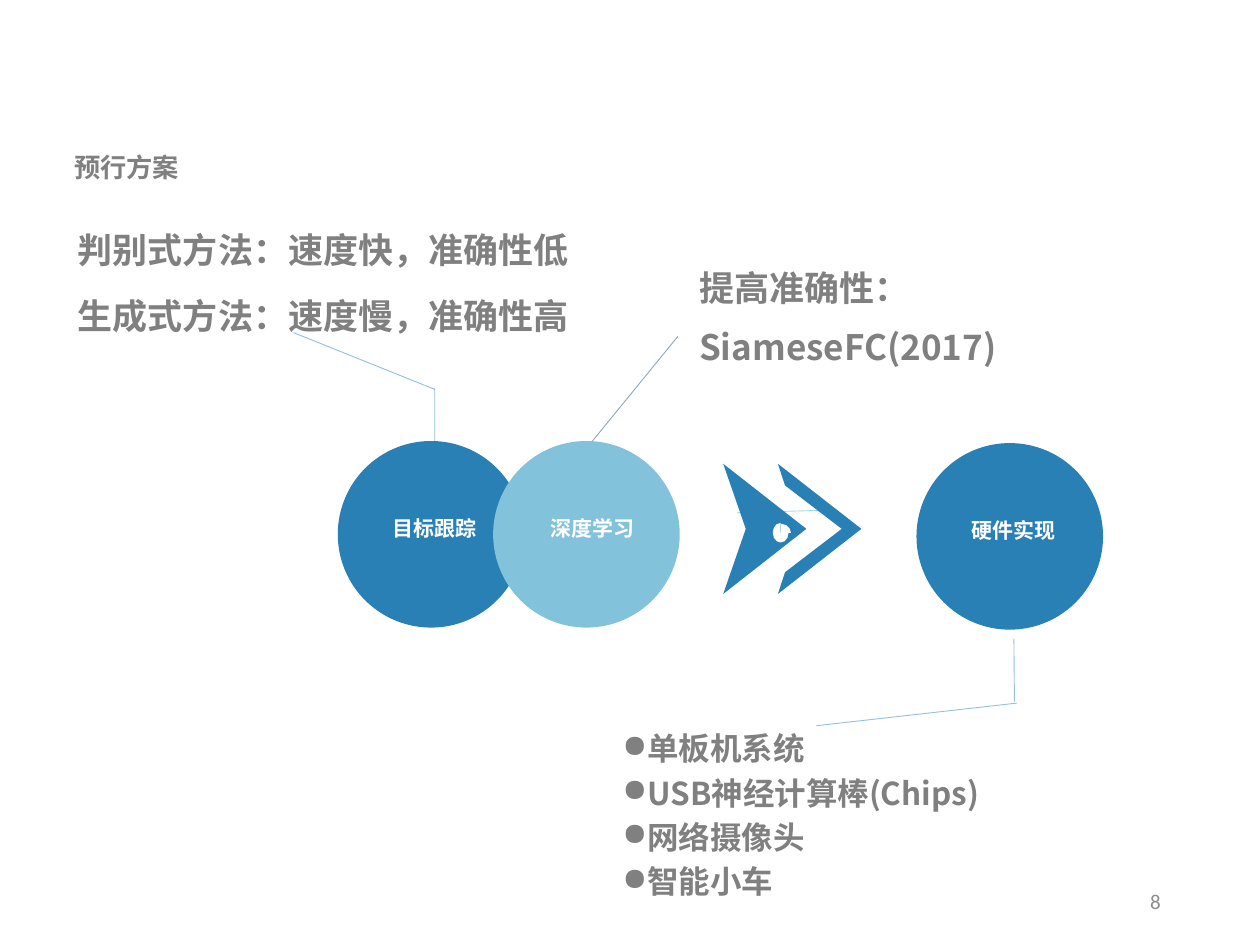
from pptx import Presentation
from pptx.dml.color import RGBColor
from pptx.enum.shapes import MSO_CONNECTOR, MSO_SHAPE
from pptx.enum.text import MSO_ANCHOR, PP_ALIGN
from pptx.oxml.ns import qn
from pptx.util import Pt
from lxml.etree import SubElement

BLUE = RGBColor(0x29, 0x80, 0xB4)
LIGHT_BLUE = RGBColor(0x83, 0xC2, 0xDB)
TEAL = RGBColor(0x51, 0xB3, 0xCD)
NAVY = RGBColor(0x1F, 0x4E, 0x79)
GRAY = RGBColor(0x80, 0x80, 0x80)
PALE_GRAY = RGBColor(0x8C, 0x8C, 0x8C)
WHITE = RGBColor(0xFF, 0xFF, 0xFF)


class SlideBuilder:
    """Holds the style and the current slide; all lengths are points."""

    font = "Noto Sans CJK SC"
    line_height = 1.2
    gap = 0.2

    def __init__(self, slide):
        """Start drawing on the given slide."""
        self.slide = slide
        self.shapes = slide.shapes

    def fill_frame(self, frame, lines, size, color=GRAY, spacing=1, bullet=None):
        """Fill a text frame with bold paragraphs."""
        frame.word_wrap = True
        frame.vertical_anchor = MSO_ANCHOR.TOP
        for index, line in enumerate(lines):
            paragraph = frame.paragraphs[0] if index == 0 else frame.add_paragraph()
            paragraph.text = line
            paragraph.alignment = PP_ALIGN.LEFT
            paragraph.line_spacing = Pt(size * self.line_height * spacing)
            paragraph.space_before = Pt(size * self.gap if index else 0)
            font = paragraph.font
            font.name, font.size, font.bold = self.font, Pt(size), True
            font.color.rgb = color
            for run in paragraph.runs:
                east_asian = SubElement(run._r.get_or_add_rPr(), qn("a:ea"))
                east_asian.set("typeface", self.font)
            if bullet:
                properties = paragraph._p.get_or_add_pPr()
                mark = properties.makeelement(qn("a:buChar"), {"char": bullet})
                properties.find(qn("a:defRPr")).addprevious(mark)

    def text(self, box, lines, size, **style):
        """Add a text box."""
        frame = self.shapes.add_textbox(*map(Pt, box)).text_frame
        self.fill_frame(frame, lines, size, **style)

    def page_number(self, box, number):
        """Add the right-aligned page number."""
        frame = self.shapes.add_textbox(*map(Pt, box)).text_frame
        frame.vertical_anchor = MSO_ANCHOR.MIDDLE
        frame.word_wrap = True
        paragraph = frame.paragraphs[0]
        paragraph.text = number
        paragraph.alignment = PP_ALIGN.RIGHT
        font = paragraph.font
        font.name, font.size = "Calibri", Pt(12)
        font.color.rgb = PALE_GRAY

    def paint(self, shape, color):
        """Give a shape a plain fill without line or shadow."""
        shape.shadow.inherit = False
        shape.fill.solid()
        shape.fill.fore_color.rgb = color
        shape.line.fill.background()
        return shape

    def preset(self, kind, box, color):
        """Add a plain preset shape."""
        return self.paint(self.shapes.add_shape(kind, *map(Pt, box)), color)

    def stage(self, left, top, label_shift, label, color):
        """Add a circle grouped with its label."""
        circle = self.preset(MSO_SHAPE.OVAL, (left, top, 106.6, 106.6), color)
        plate = self.preset(
            MSO_SHAPE.RECTANGLE, (left + label_shift, top + 39.2, 69, 31.7), color)
        self.fill_frame(plate.text_frame, [label], 12, color=WHITE)
        self.shapes.add_group_shape([circle, plate])

    def leader(self, start, end, color=BLUE):
        """Add a thin, half-transparent line."""
        line = self.shapes.add_connector(
            MSO_CONNECTOR.STRAIGHT, *map(Pt, start + end))
        line.line.width = Pt(0.5)
        line.line.color.rgb = color
        fill = line.line._ln.find(qn("a:solidFill"))
        SubElement(fill[0], qn("a:alpha")).set("val", "50000")
        SubElement(line._element.spPr, qn("a:effectLst"))

    def outline(self, points, color):
        """Add a closed polygon."""
        corners = [(Pt(x), Pt(y)) for x, y in points]
        builder = self.shapes.build_freeform(*corners[0], scale=1)
        builder.add_line_segments(corners[1:], close=True)
        self.paint(builder.convert_to_shape(), color)

    def pie(self, box, start, end):
        """Add a white pie between two clockwise angles in degrees."""
        pie = self.preset(MSO_SHAPE.PIE, box, WHITE)
        for index, angle in enumerate((start, end)):
            pie.adjustments[index] = angle * 0.6


def build_plan(page):
    """Draw the plan: notes, leaders, stages and arrow."""
    page.text((35.3, 82.8, 177.8, 25.2), ["预行方案"], 15)
    page.text((37.4, 117.4, 330.5, 64.8),
              ["判别式方法：速度快，准确性低", "生成式方法：速度慢，准确性高"],
              20, spacing=1.4)
    page.text((392.4, 139, 277.9, 22.3), ["提高准确性：SiameseFC(2017)"],
              20, spacing=1.4)

    page.leader((248.4, 252.7), (248.4, 222))
    page.leader((248.4, 222.5), (167.8, 190.1))
    page.leader((336.2, 254.9), (387.4, 192.2), NAVY)
    page.leader((421.2, 293), (469.4, 291.6), TEAL)
    page.leader((579.4, 365), (579.7, 401))
    page.leader((581, 401.8), (466.6, 414.7))

    page.stage(193, 252, 24.5, "目标跟踪", BLUE)
    page.stage(281.8, 252, 25.6, "深度学习", LIGHT_BLUE)
    page.stage(523.7, 253.2, 24.5, "硬件实现", BLUE)

    page.text((348.5, 413.3, 337, 117.4),
              ["单板机系统", "USB神经计算棒(Chips)", "网络摄像头", "智能小车"],
              18, bullet="●")

    top, middle, bottom = 265, 302.2, 339.4
    page.outline([(413.3, top), (460.8, middle), (413.3, bottom),
                  (426.2, middle)], BLUE)
    page.outline([(444.5, top), (448.6, 277.4), (481, middle), (448.6, 327),
                  (444.5, bottom), (492.2, middle)], BLUE)
    page.pie((441.6, 298.8, 9, 11.2), 0, 270)
    page.pie((440.8, 299.3, 11.2, 10.4), 270, 0)
    page.page_number((508.3, 500.4, 162, 28.8), "8")


deck = Presentation()
deck.slide_width, deck.slide_height = Pt(720), Pt(540)
build_plan(SlideBuilder(deck.slides.add_slide(deck.slide_layouts[6])))
deck.save("out.pptx")
